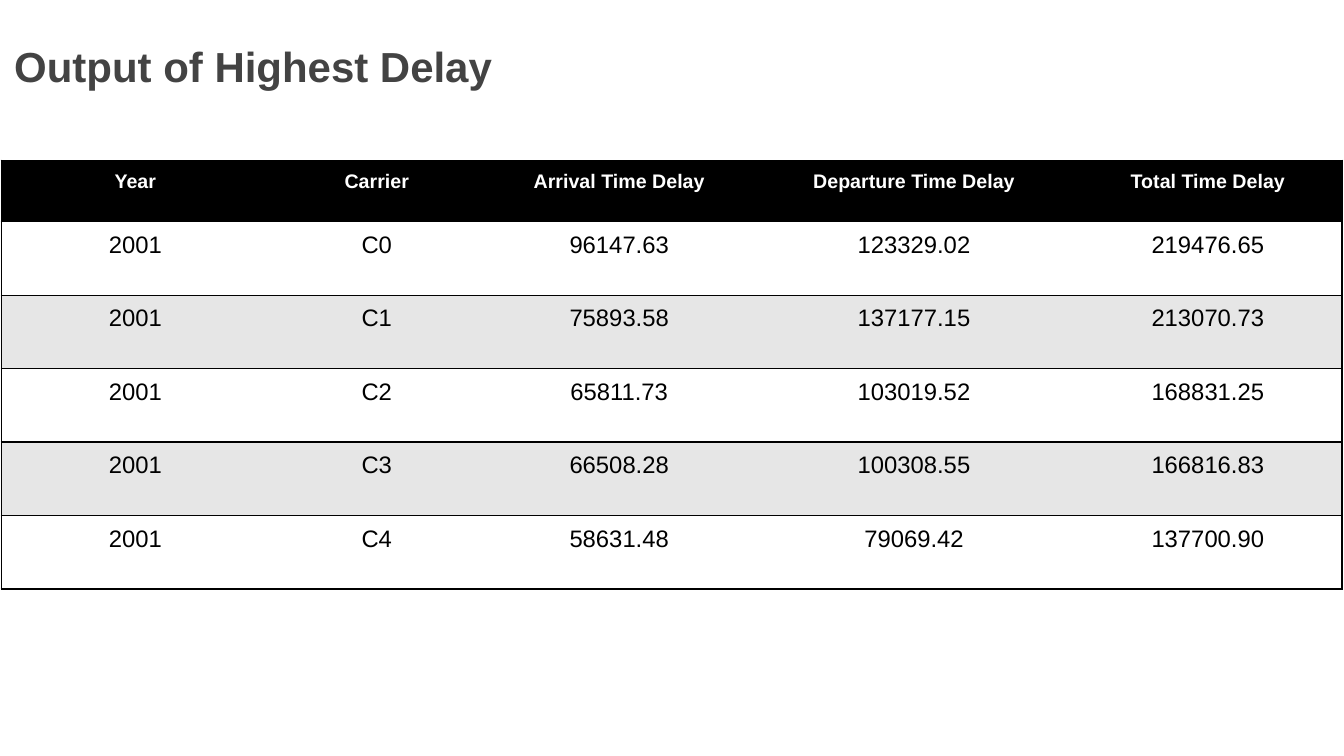
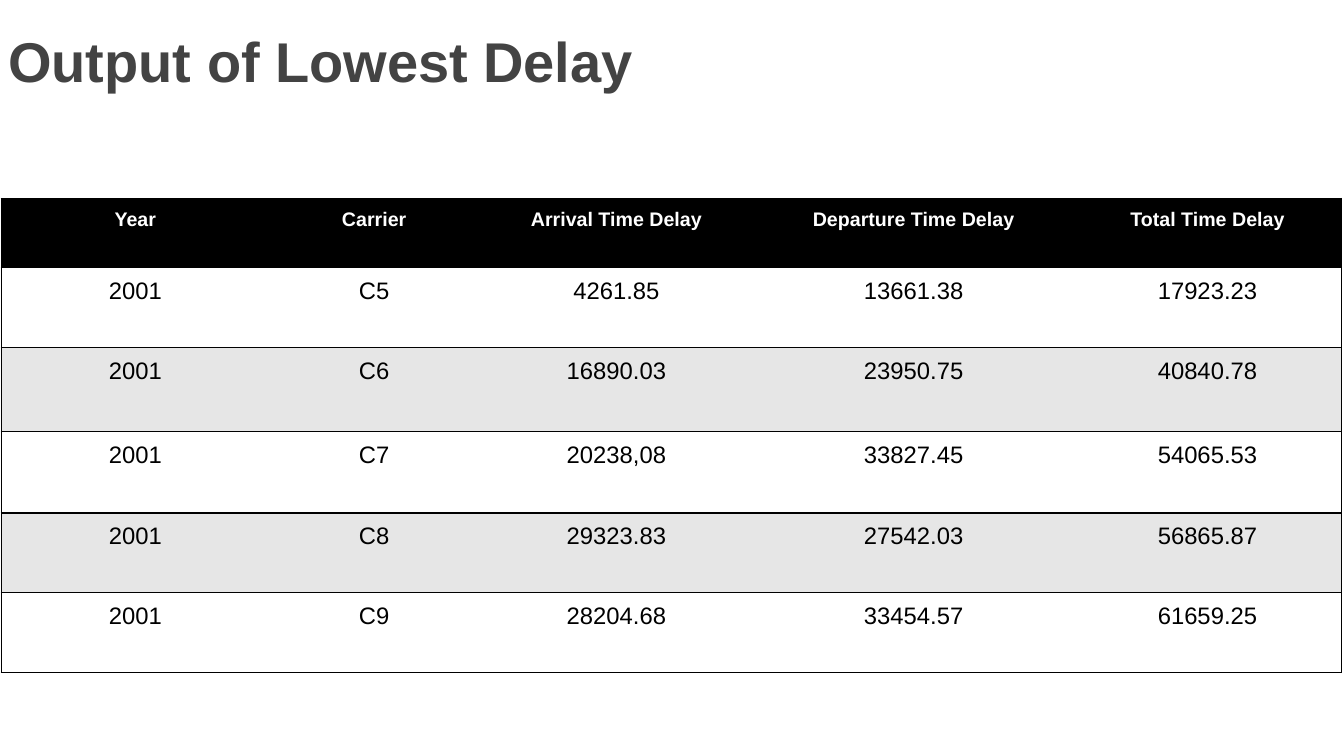
"""Build two slides of flight delay tables."""
import dataclasses

import lxml.etree
import pptx
import pptx.dml.color
import pptx.enum.text
import pptx.oxml.ns
import pptx.util

Cm = pptx.util.Cm
Pt = pptx.util.Pt
qn = pptx.oxml.ns.qn


@dataclasses.dataclass(frozen=True)
class Theme:
    """Colours, type sizes and shared measures."""
    font: str = "Arial"
    title: str = "434343"
    ink: str = "000000"
    paper: str = "FFFFFF"
    band: str = "E6E6E6"
    header_size: int = 14
    body_size: int = 17
    border: float = 1
    title_inset: float = 0.13
    cell_inset: float = 0.25
    table_left: float = 0.03


THEME = Theme()
HEADERS = ("Year", "Carrier", "Arrival Time Delay", "Departure Time Delay",
           "Total Time Delay")
HIGHEST = (
    ("2001", "C0", "96147.63", "123329.02", "219476.65"),
    ("2001", "C1", "75893.58", "137177.15", "213070.73"),
    ("2001", "C2", "65811.73", "103019.52", "168831.25"),
    ("2001", "C3", "66508.28", "100308.55", "166816.83"),
    ("2001", "C4", "58631.48", "79069.42", "137700.90"),
)
LOWEST = (
    ("2001", "C5", "4261.85", "13661.38", "17923.23"),
    ("2001", "C6", "16890.03", "23950.75", "40840.78"),
    ("2001", "C7", "20238,08", "33827.45", "54065.53"),
    ("2001", "C8", "29323.83", "27542.03", "56865.87"),
    ("2001", "C9", "28204.68", "33454.57", "61659.25"),
)


def rgb(value):
    """Return the colour for a hex value."""
    return pptx.dml.color.RGBColor.from_string(value)


def set_insets(target, inset):
    """Give a cell or text frame the same inset on every side."""
    for side in ("left", "right", "top", "bottom"):
        setattr(target, f"margin_{side}", Cm(inset))


def set_font(p, size, color, bold):
    """Style a whole paragraph."""
    p.font.name = THEME.font
    p.font.size = Pt(size)
    p.font.bold = bold
    p.font.color.rgb = rgb(color)


def add_title(s, text, left, bottom, size):
    """Add a title that stands on the given bottom edge."""
    tf = s.shapes.add_textbox(Cm(left), 0, Cm(23.88), Cm(bottom)).text_frame
    tf.word_wrap = True
    tf.vertical_anchor = pptx.enum.text.MSO_ANCHOR.BOTTOM
    set_insets(tf, THEME.title_inset)
    p = tf.paragraphs[0]
    p.text = text
    set_font(p, size, THEME.title, True)


def add_borders(cell, sides):
    """Draw solid borders on the named sides of a cell."""
    props = cell._tc.get_or_add_tcPr()
    for side in sides:
        line = lxml.etree.SubElement(props, qn(f"a:ln{side}"),
                                     w=str(Pt(THEME.border)))
        fill = lxml.etree.SubElement(line, qn("a:solidFill"))
        lxml.etree.SubElement(fill, qn("a:srgbClr"), val=THEME.ink)


def fill_cell(cell, text, row, sides):
    """Write and style one cell according to its row."""
    header = row == 0
    add_borders(cell, sides)
    cell.fill.solid()
    banded = THEME.paper if row % 2 else THEME.band
    cell.fill.fore_color.rgb = rgb(THEME.ink if header else banded)
    set_insets(cell, THEME.cell_inset)
    p = cell.text_frame.paragraphs[0]
    p.text = text
    p.alignment = pptx.enum.text.PP_ALIGN.CENTER
    set_font(p, THEME.header_size if header else THEME.body_size,
             THEME.paper if header else THEME.ink, header)


def add_delay_table(s, records, top, widths, heights):
    """Add a table with ruled rows and an outer frame."""
    rows = (HEADERS, *records)
    table = s.shapes.add_table(
        len(rows), len(HEADERS), Cm(THEME.table_left), Cm(top),
        Cm(sum(widths)), Cm(sum(heights))).table
    table.first_row = table.horz_banding = False
    style = table._tbl.tblPr.find(qn("a:tableStyleId"))
    style.text = "{2D5ABB26-0587-4C30-8999-92F81FD0307C}"
    for column, width in zip(table.columns, widths):
        column.width = Cm(width)
    for i, (values, height) in enumerate(zip(rows, heights)):
        table.rows[i].height = Cm(height)
        for j, text in enumerate(values):
            edge = {0: "L", len(HEADERS) - 1: "R"}.get(j, "")
            fill_cell(table.cell(i, j), text, i, edge + "TB")


def main():
    """Build and save the presentation."""
    prs = pptx.Presentation()
    prs.slide_width, prs.slide_height = Cm(33.87), Cm(19.05)
    blank = prs.slide_layouts[6]

    s = prs.slides.add_slide(blank)
    add_delay_table(s, HIGHEST, 4.04, (6.76, 5.41, 6.81, 8.05, 6.76),
                    (1.55, *[1.85] * len(HIGHEST)))
    add_title(s, "Output of Highest Delay", 0.23, 2.41, 30)

    s = prs.slides.add_slide(blank)
    add_delay_table(s, LOWEST, 5, (6.76, 5.28, 6.93, 8.05, 6.76),
                    (1.75, 2.01, 2.12, 2.05, 2.01, 2.01))
    add_title(s, "Output of Lowest Delay", 0.08, 2.49, 40)

    prs.save("out.pptx")


if __name__ == "__main__":
    main()
